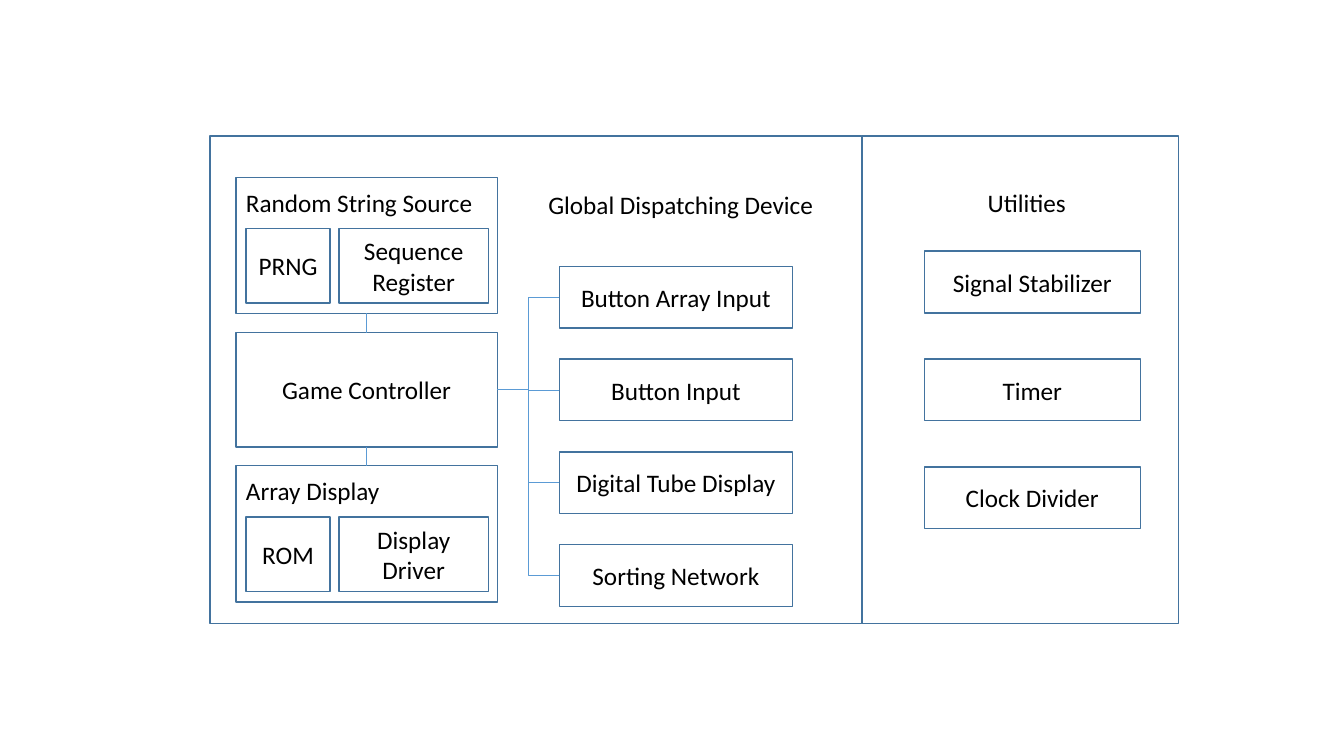
from dataclasses import dataclass

from lxml import etree
from pptx import Presentation
from pptx.dml.color import RGBColor
from pptx.enum.shapes import MSO_CONNECTOR, MSO_SHAPE
from pptx.enum.text import MSO_ANCHOR, PP_ALIGN
from pptx.oxml.ns import qn
from pptx.util import Inches, Pt

RECTANGLE = MSO_SHAPE.RECTANGLE
STRAIGHT, ELBOW = MSO_CONNECTOR.STRAIGHT, MSO_CONNECTOR.ELBOW
MIDDLE, TOP_ANCHOR = MSO_ANCHOR.MIDDLE, MSO_ANCHOR.TOP
CENTER, LEFT_ALIGN = PP_ALIGN.CENTER, PP_ALIGN.LEFT
TOP, LEFT, BOTTOM, RIGHT = range(4)  # connection sites of a rectangle

COLORS = {"fill": "FFFFFF", "border": "43739E", "wire": "5B9BD5", "text": "000000"}
FONT, TEXT_SIZE = "Calibri", 18
SLIDE_WIDTH, SLIDE_HEIGHT = Inches(13.33), Inches(7.5)
COLUMNS, ROWS = 160, 90
MODULE_HEIGHT, HEADING_HEIGHT = 7.35, 4.8


@dataclass
class Box:
    """An area measured in grid columns and rows."""
    left: float
    top: float
    width: float
    height: float

    def inner(self, left, top, width, height):
        """Return an area placed relative to this one."""
        return Box(self.left + left, self.top + top, width, height)

    def emu(self):
        """Return the area in slide units."""
        col, row = SLIDE_WIDTH / COLUMNS, SLIDE_HEIGHT / ROWS
        return (round(self.left * col), round(self.top * row),
                round(self.width * col), round(self.height * row))


def color(key):
    """Look up a palette colour."""
    return RGBColor.from_string(COLORS[key])


def write(shape, text, align, anchor):
    """Put one formatted run into a shape."""
    frame = shape.text_frame
    frame.word_wrap = True
    frame.vertical_anchor = anchor
    paragraph = frame.paragraphs[0]
    paragraph.alignment = align
    run = paragraph.add_run()
    run.text = text
    run.font.name, run.font.size = FONT, Pt(TEXT_SIZE)
    run.font.color.rgb = color("text")


def add_block(shapes, box, label=None):
    """Draw a bordered rectangle with an optional centred label."""
    block = shapes.add_shape(RECTANGLE, *box.emu())
    block.shadow.inherit = False
    block.fill.solid()
    block.fill.fore_color.rgb = color("fill")
    block.line.color.rgb = color("border")
    block.line.width = Pt(1)
    if label:
        write(block, label, CENTER, MIDDLE)
    return block


def add_heading(shapes, box, text):
    """Write a region heading."""
    write(shapes.add_textbox(*box.emu()), text, LEFT_ALIGN, TOP_ANCHOR)


def add_wire(shapes, kind, start, start_site, end, end_site):
    """Join two blocks with a thin connector."""
    wire = shapes.add_connector(kind, 0, 0, 0, 0)
    wire.begin_connect(start, start_site)
    wire.end_connect(end, end_site)
    wire.line.color.rgb = color("wire")
    wire.line.width = Pt(0.5)
    etree.SubElement(wire._element.spPr, qn("a:effectLst"))


def add_column(shapes, box, step, labels):
    """Stack equal modules, the first filling the given box."""
    return [add_block(shapes, box.inner(0, i * step, box.width, box.height), label)
            for i, label in enumerate(labels)]


def add_composite(shapes, box, heading, small, large):
    """Draw a module holding a heading and two inner modules."""
    outer = add_block(shapes, box)
    add_block(shapes, box.inner(1.2, 6.1, 10, 8.9), small)
    add_block(shapes, box.inner(12.25, 6.1, 17.8, 8.9), large)
    add_heading(shapes, box.inner(0, 0.6, 31.6, HEADING_HEIGHT), heading)
    return outer


def add_utilities(shapes, box):
    """Draw the utilities region."""
    add_block(shapes, box)
    add_heading(shapes, box.inner(13.8, 5.5, 12.85, HEADING_HEIGHT), "Utilities")
    add_column(shapes, box.inner(7.45, 13.7, 25.7, MODULE_HEIGHT), 12.85,
               ["Signal Stabilizer", "Timer", "Clock Divider"])


def add_dispatcher(shapes, box):
    """Draw the dispatching region with its wired modules."""
    add_block(shapes, box)
    add_heading(shapes, box.inner(39.1, 5.75, 34.1, HEADING_HEIGHT),
                "Global Dispatching Device")
    source = add_composite(shapes, box.inner(3.1, 4.9, 31.1, 16.2),
                           "Random String Source", "PRNG", "Sequence Register")
    display = add_composite(shapes, box.inner(3.1, 39.25, 31.1, 16.2),
                            "Array Display", "ROM", "Display Driver")
    controller = add_block(shapes, box.inner(3.1, 23.4, 31.1, 13.6), "Game Controller")
    devices = add_column(shapes, box.inner(41.6, 15.5, 27.75, MODULE_HEIGHT), 11.05,
                         ["Button Array Input", "Button Input",
                          "Digital Tube Display", "Sorting Network"])
    for device in devices:
        add_wire(shapes, ELBOW, controller, RIGHT, device, LEFT)
    add_wire(shapes, STRAIGHT, source, BOTTOM, controller, TOP)
    add_wire(shapes, STRAIGHT, display, TOP, controller, BOTTOM)


def main():
    """Build and save the slide."""
    deck = Presentation()
    deck.slide_width, deck.slide_height = SLIDE_WIDTH, SLIDE_HEIGHT
    shapes = deck.slides.add_slide(deck.slide_layouts[6]).shapes
    add_utilities(shapes, Box(102.6, 16.2, 37.7, 58))
    add_dispatcher(shapes, Box(25, 16.2, 77.6, 58))
    deck.save("out.pptx")


main()
